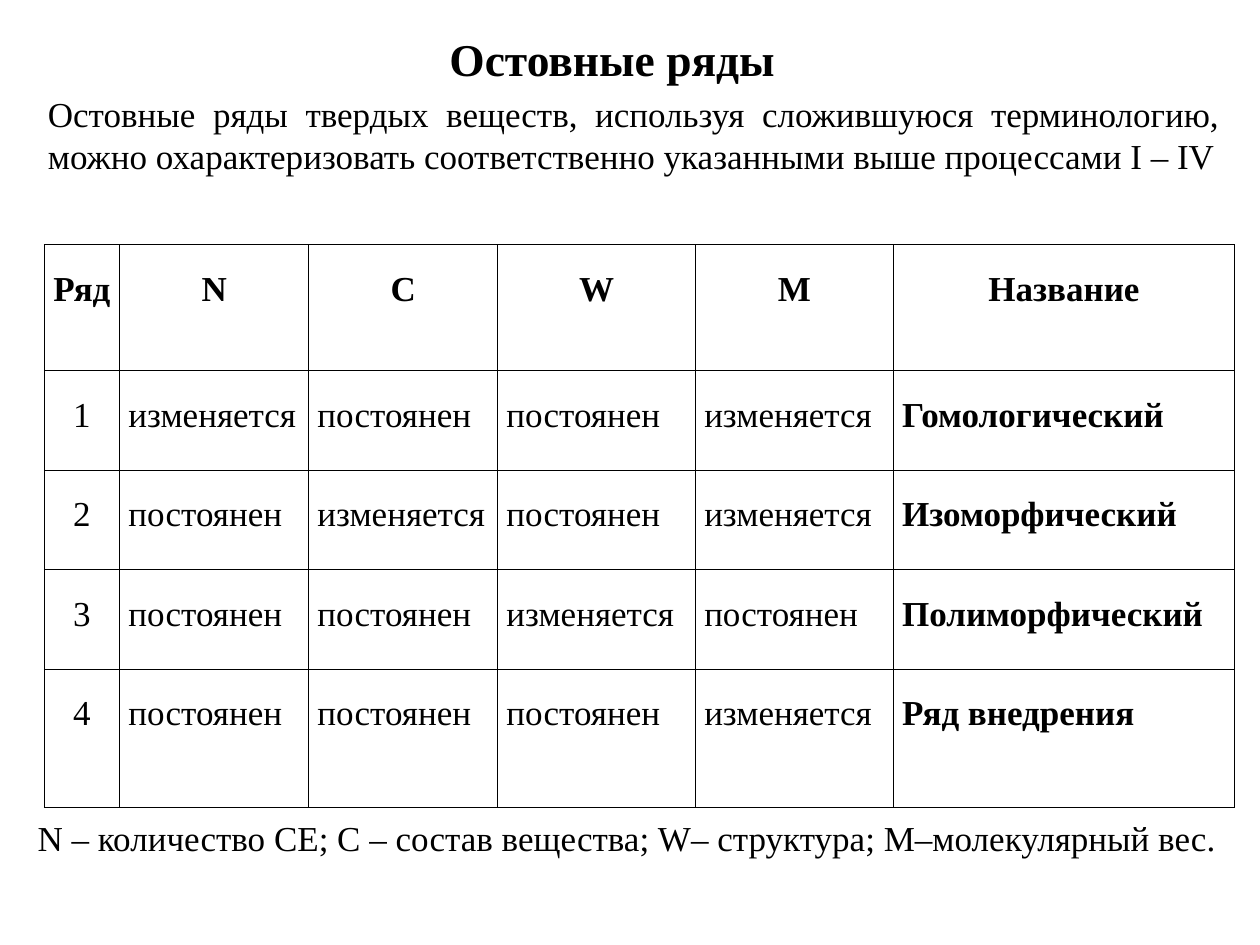
from dataclasses import dataclass

from lxml import etree
from pptx import Presentation
from pptx.dml.color import RGBColor
from pptx.enum import text
from pptx.oxml.ns import qn
from pptx.util import Inches, Pt

FONT = "Times New Roman"
BLACK = "000000"
SAME, CHANGES = "постоянен", "изменяется"
CENTER, JUSTIFY = text.PP_ALIGN.CENTER, text.PP_ALIGN.JUSTIFY


@dataclass
class Block:
    """A passage of text with its place and insets in inches."""
    content: str
    box: tuple[float, float, float, float]
    insets: tuple[float, float, float, float] = (0.1, 0.05, 0.1, 0.05)
    size: int = 20
    bold: bool = False
    align: text.PP_ALIGN = JUSTIFY
    anchor: text.MSO_ANCHOR = text.MSO_ANCHOR.TOP
    wrap: bool = True


@dataclass
class Series:
    """One row of the table: number, behaviour of N, C, W, M, and name."""
    number: str
    behaviour: tuple[str, str, str, str]
    name: str


TITLE = Block("Остовные ряды", (3.46, 0.2, 2.8, 0.54), size=26, bold=True,
              align=CENTER, wrap=False)
BODY = [
    Block("Остовные ряды твердых веществ, используя сложившуюся терминологию, "
          "можно охарактеризовать соответственно указанными выше процессами I – IV",
          (0, 0.68, 9.61, 0.72), insets=(0.38, 0.05, -0.07, 0),
          anchor=text.MSO_ANCHOR.MIDDLE),
    Block("N – количество СЕ; C – состав вещества; W– структура; "
          "M–молекулярный вес.", (0.2, 6.43, 9.61, 0.44)),
]

HEADERS = ("Ряд", "N", "C", "W", "M", "Название")
SERIES = [
    Series("1", (CHANGES, SAME, SAME, CHANGES), "Гомологический"),
    Series("2", (SAME, CHANGES, SAME, CHANGES), "Изоморфический"),
    Series("3", (SAME, SAME, CHANGES, SAME), "Полиморфический"),
    Series("4", (SAME, SAME, SAME, CHANGES), "Ряд внедрения"),
]
COLUMN_WIDTHS = (0.6, 1.5, 1.5, 1.57, 1.57, 2.71)
ROW_HEIGHTS = (1, 0.79, 0.79, 0.79, 1.1)


def color(value: str) -> RGBColor:
    return RGBColor.from_string(value)


def format_paragraph(paragraph, size: int, bold: bool, align) -> None:
    paragraph.alignment = align
    font = paragraph.font
    font.name, font.size, font.bold = FONT, Pt(size), bold
    font.color.rgb = color(BLACK)


def set_insets(target, insets) -> None:
    (target.margin_left, target.margin_top,
     target.margin_right, target.margin_bottom) = map(Inches, insets)


def fill_text(shape, block: Block) -> None:
    shape.left, shape.top, shape.width, shape.height = map(Inches, block.box)
    frame = shape.text_frame
    frame.text = block.content
    frame.word_wrap = block.wrap
    frame.auto_size = text.MSO_AUTO_SIZE.SHAPE_TO_FIT_TEXT
    frame.vertical_anchor = block.anchor
    set_insets(frame, block.insets)
    format_paragraph(frame.paragraphs[0], block.size, block.bold, block.align)


def add_borders(cell, width: float) -> None:
    properties = cell._tc.get_or_add_tcPr()
    for index, side in enumerate(("lnL", "lnR", "lnT", "lnB")):
        line = etree.Element(qn(f"a:{side}"), w=str(Pt(width)))
        fill = etree.SubElement(line, qn("a:solidFill"))
        etree.SubElement(fill, qn("a:srgbClr"), val=BLACK)
        properties.insert(index, line)


def fill_cell(cell, content: str, bold: bool, align) -> None:
    cell.text = content
    set_insets(cell, (0.07, 0.05, 0.07, 0.05))
    cell.fill.background()
    add_borders(cell, 0.45)
    paragraph = cell.text_frame.paragraphs[0]
    paragraph.line_spacing = 1.5
    format_paragraph(paragraph, 20, bold, align)


def add_series_table(slide) -> None:
    table = slide.shapes.add_table(
        len(ROW_HEIGHTS), len(COLUMN_WIDTHS), Inches(0.35), Inches(1.94),
        Inches(sum(COLUMN_WIDTHS)), Inches(sum(ROW_HEIGHTS))).table
    table.first_row = table.horz_banding = False
    for column, width in zip(table.columns, COLUMN_WIDTHS):
        column.width = Inches(width)
    for row, height in zip(table.rows, ROW_HEIGHTS):
        row.height = Inches(height)

    rows = [HEADERS] + [(s.number, *s.behaviour, s.name) for s in SERIES]
    last = len(HEADERS) - 1
    for i, row in enumerate(rows):
        for j, content in enumerate(row):
            centered = i == 0 or j == 0
            fill_cell(table.cell(i, j), content, bold=i == 0 or j == last,
                      align=CENTER if centered else JUSTIFY)


def main() -> None:
    presentation = Presentation()
    presentation.slide_width, presentation.slide_height = Inches(10), Inches(7.5)
    slide = presentation.slides.add_slide(presentation.slide_layouts[5])

    # Table of series
    add_series_table(slide)

    # Title, introduction and legend
    fill_text(slide.shapes.title, TITLE)
    for block in BODY:
        fill_text(slide.shapes.add_textbox(0, 0, 0, 0), block)

    presentation.save("out.pptx")


if __name__ == "__main__":
    main()
